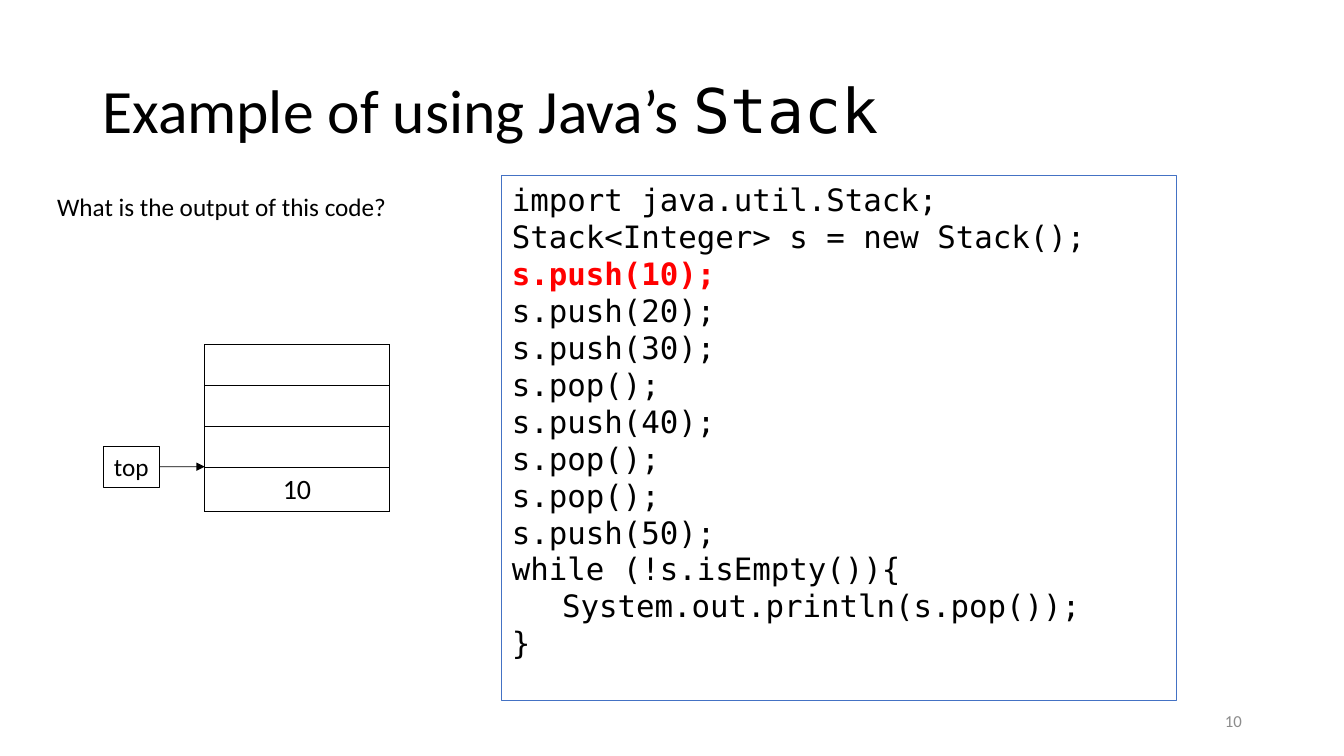
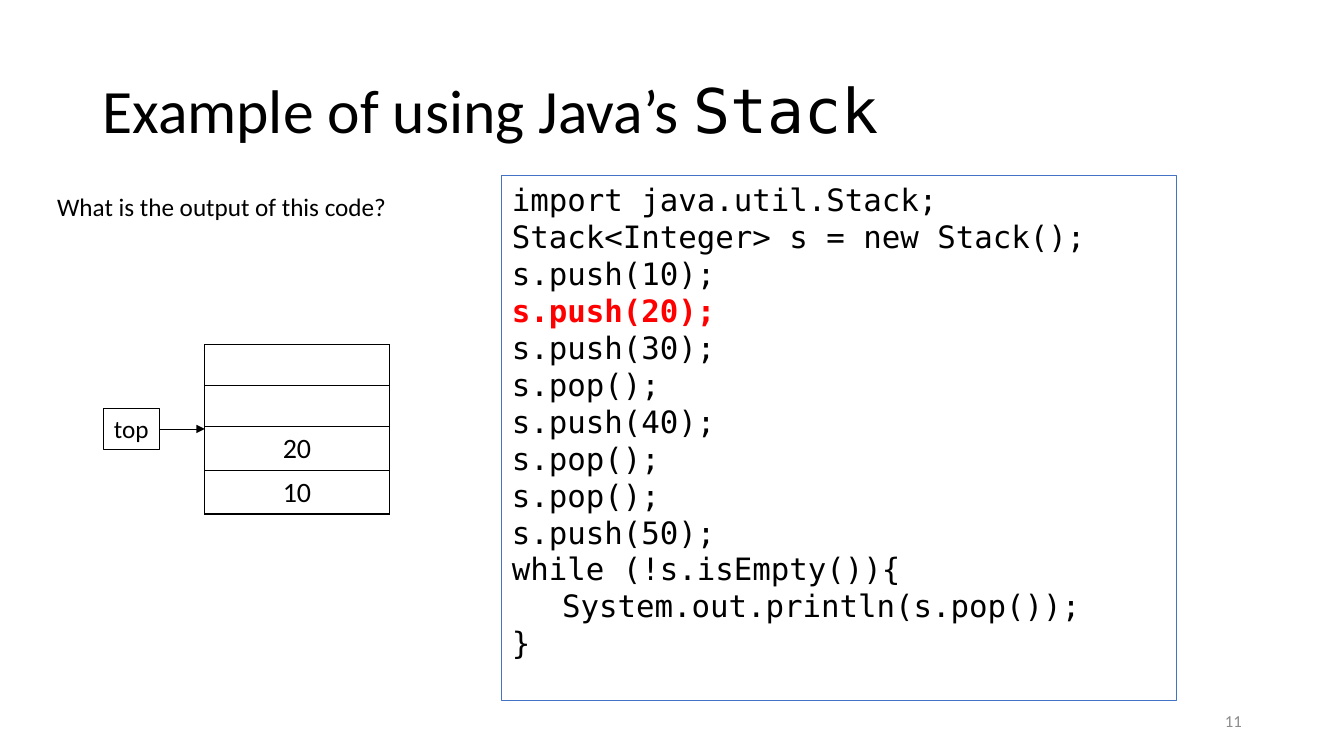
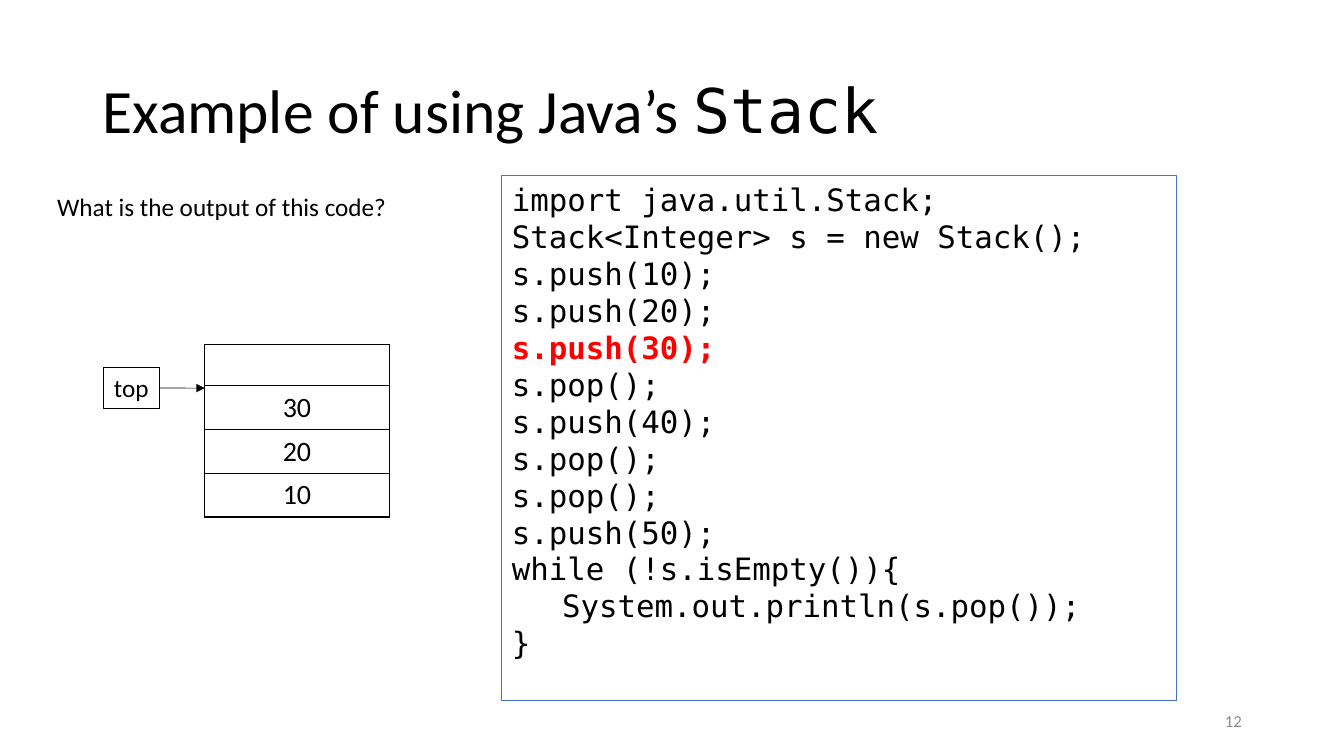
"""Build three slides that trace pushes onto a stack."""
from lxml import etree
from pptx import Presentation
from pptx.dml.color import RGBColor
from pptx.enum import shapes, text
from pptx.oxml import ns
from pptx.util import Cm, Pt

BLACK = RGBColor(0, 0, 0)
RED = RGBColor(0xFF, 0, 0)
BLUE = RGBColor(0x44, 0x72, 0xC4)
GREY = RGBColor(0x8C, 0x8C, 0x8C)
SANS = "Calibri"
MONO = "DejaVu Sans Mono"
MID = text.MSO_ANCHOR.MIDDLE
TOP = text.MSO_ANCHOR.TOP
LEFT = text.PP_ALIGN.LEFT
RIGHT = text.PP_ALIGN.RIGHT
CENTER = text.PP_ALIGN.CENTER

ROWS = 4
ROW = 1.03
STACK = (5.16, 8.69, 4.65)
LABEL = (2.62, 1.4)
CODE = (
    "import java.util.Stack;",
    "Stack<Integer> s = new Stack();",
    "s.push(10);",
    "s.push(20);",
    "s.push(30);",
    "s.pop();",
    "s.push(40);",
    "s.pop();",
    "s.pop();",
    "s.push(50);",
    "while (!s.isEmpty()){",
    "\tSystem.out.println(s.pop());",
    "}",
)
STEPS = (
    (10, 2, ("10",), 11.76),
    (11, 3, ("20", "10"), 10.81),
    (12, 4, ("30", "20", "10"), 9.78),
)


def add_run(par, words, size, color=BLACK, font=SANS, bold=False):
    run = par.add_run()
    run.text = words
    run.font.name = font
    run.font.size = Pt(size)
    run.font.color.rgb = color
    run.font.bold = bold


def add_text(slide, area, anchor=TOP, align=LEFT):
    box = slide.shapes.add_textbox(*map(Cm, area))
    frame = box.text_frame
    frame.word_wrap = True
    frame.vertical_anchor = anchor
    par = frame.paragraphs[0]
    par.alignment = align
    return par


def add_box(slide, area, color, wrap=True):
    box = slide.shapes.add_shape(shapes.MSO_SHAPE.RECTANGLE, *map(Cm, area))
    box.shadow.inherit = False
    box.fill.background()
    box.line.color.rgb = color
    box.line.width = Pt(0.75)
    box.text_frame.word_wrap = wrap
    box.text_frame.vertical_anchor = TOP
    box.text_frame.paragraphs[0].alignment = LEFT
    return box


def add_base(slide, number):
    title = add_text(slide, (2.33, 1.01, 29.21, 3.68), MID)
    title.line_spacing = 0.9
    add_run(title, "Example of using Java’s ", 44)
    add_run(title, "Stack", 44, font=MONO)
    foot = add_text(slide, (23.93, 17.65, 7.62, 1.01), MID, RIGHT)
    add_run(foot, str(number), 12, GREY)
    ask = add_text(slide, (1.19, 4.7, 9.58, 2.57))
    add_run(ask, "What is the output of this code?", 18)


def add_code(slide, active):
    frame = add_box(slide, (12.65, 4.43, 17.01, 13.22), BLUE).text_frame
    for index, line in enumerate(CODE):
        par = frame.add_paragraph() if index else frame.paragraphs[0]
        par.alignment = LEFT
        par.line_spacing = Pt(26.4)
        hot = index == active
        add_run(par, line, 22, RED if hot else BLACK, MONO, hot)


def add_edges(cell):
    props = cell._tc.get_or_add_tcPr()
    for side in ("lnL", "lnR", "lnT", "lnB"):
        edge = etree.SubElement(props, ns.qn("a:" + side), w=str(Pt(1)))
        fill = etree.SubElement(edge, ns.qn("a:solidFill"))
        etree.SubElement(fill, ns.qn("a:srgbClr"), val=str(BLACK))


def add_stack(slide, items):
    left, top, width = STACK
    area = map(Cm, (left, top, width, ROWS * ROW))
    table = slide.shapes.add_table(ROWS, 1, *area).table
    table.first_row = False
    table.horz_banding = False
    free = ROWS - len(items)
    for index in range(ROWS):
        cell = table.cell(index, 0)
        cell.vertical_anchor = MID
        add_edges(cell)
        cell.fill.background()
        if index >= free:
            par = cell.text_frame.paragraphs[0]
            par.alignment = CENTER
            add_run(par, items[index - free], 20)


def add_top(slide, mid):
    left, width = LABEL
    box = add_box(slide, (left, mid - ROW / 2, width, ROW), BLACK, False)
    add_run(box.text_frame.paragraphs[0], "top", 18)
    ends = map(Cm, (left + width, mid, STACK[0], mid))
    arrow = slide.shapes.add_connector(shapes.MSO_CONNECTOR.STRAIGHT, *ends)
    arrow.begin_connect(box, 3)
    arrow.line.color.rgb = BLACK
    arrow.line.width = Pt(0.5)
    line = arrow.line._get_or_add_ln()
    etree.SubElement(line, ns.qn("a:tailEnd"), type="triangle")
    etree.SubElement(arrow._element.spPr, ns.qn("a:effectLst"))


def main():
    deck = Presentation()
    deck.slide_width = Cm(33.87)
    deck.slide_height = Cm(19.05)
    for number, active, items, mid in STEPS:
        slide = deck.slides.add_slide(deck.slide_layouts[6])
        add_base(slide, number)
        add_code(slide, active)
        add_stack(slide, items)
        add_top(slide, mid)
    deck.save("out.pptx")


if __name__ == "__main__":
    main()
